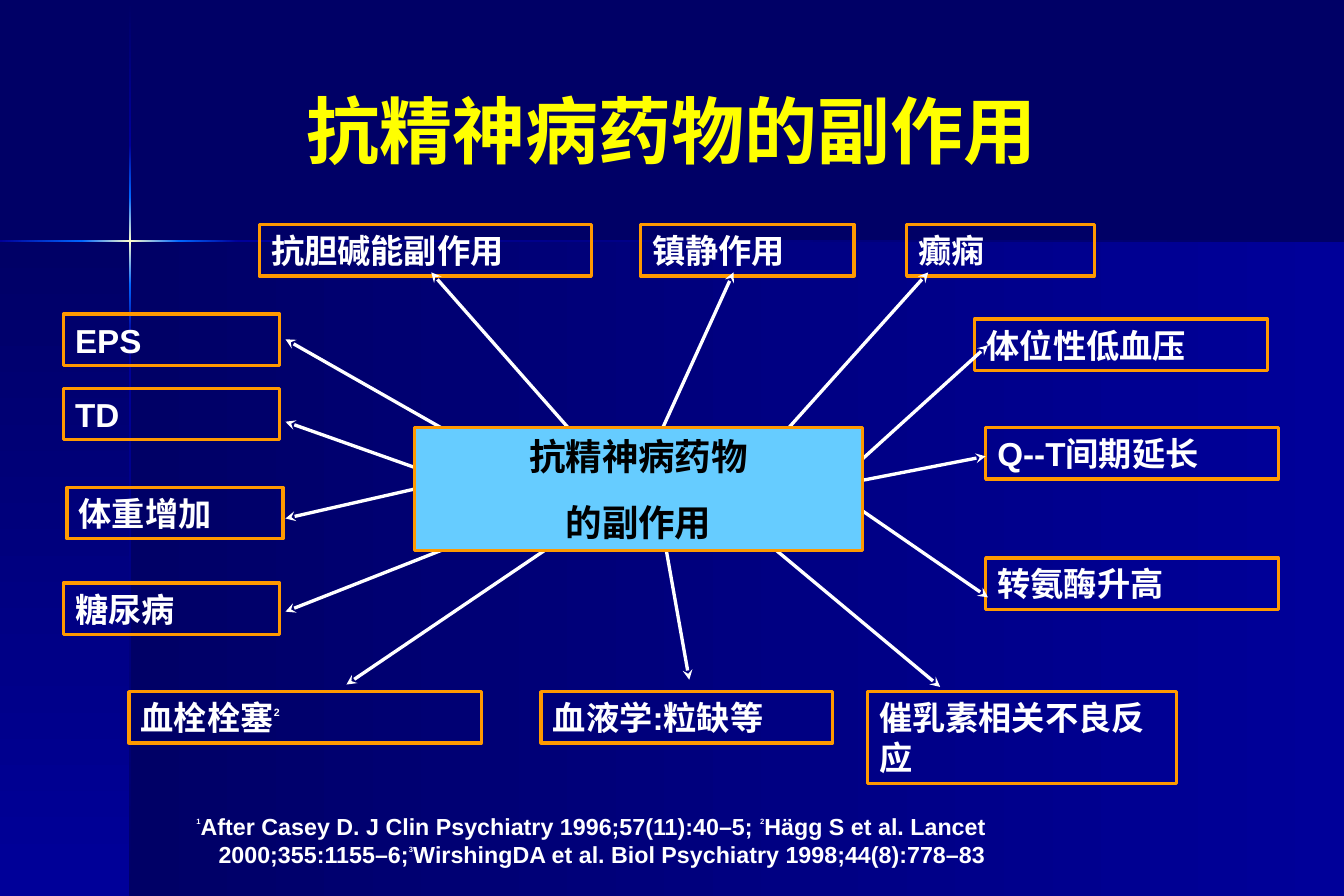
import itertools

import pptx
import pptx.dml.color
import pptx.enum.shapes
import pptx.enum.text
import pptx.oxml.ns
import pptx.util
from lxml import etree

RGBColor = pptx.dml.color.RGBColor
ALIGN = pptx.enum.text.PP_ALIGN
ANCHOR = pptx.enum.text.MSO_ANCHOR
Pt = pptx.util.Pt

NAVY = RGBColor(0x00, 0x00, 0x66)
BLUE = RGBColor(0x00, 0x00, 0x99)
GLOW = RGBColor(0x00, 0x66, 0xFF)
CREAM = RGBColor(0xFF, 0xFF, 0xCC)
SKY = RGBColor(0x66, 0xCC, 0xFF)
ORANGE = RGBColor(0xFF, 0x99, 0x00)
YELLOW = RGBColor(0xFF, 0xFF, 0x00)
WHITE = RGBColor(0xFF, 0xFF, 0xFF)
BLACK = RGBColor(0x00, 0x00, 0x00)

# Grid of square cells
COLS, ROWS = 45, 30
CELL = pptx.util.Inches(0.25)
STAR_X, STAR_Y = 4.36, 8.08
BEAM = 0.08
BOX_H = 1.72
TOP, FOOT = 7.52, 23.16
LEFT, RIGHT = 2.12, 33
SIDE_W, WIDE_W = 7.24, 9.8
TIP_X, TIP_Y = 9.56, 9.12

# Label, left, top, width, height
LABELS = [
    ("抗胆碱能副作用", 8.68, TOP, 11.12, BOX_H),
    ("镇静作用", 21.44, TOP, 7.16, BOX_H),
    ("癫痫", 30.36, TOP, 6.28, BOX_H),
    ("体位性低血压", 32.64, 10.68, WIDE_W, BOX_H),
    ("Q--T间期延长", RIGHT, 14.32, WIDE_W, BOX_H),
    ("转氨酶升高", RIGHT, 18.68, WIDE_W, BOX_H),
    ("催乳素相关不良反应", 29.04, FOOT, 10.36, 3.08),
    ("血液学:粒缺等", 18.12, FOOT, 9.76, BOX_H),
    ("血栓栓塞^2^", 4.32, FOOT, 11.8, BOX_H),
    ("糖尿病", LEFT, 19.52, SIDE_W, BOX_H),
    ("体重增加", 2.24, 16.32, SIDE_W, BOX_H),
    ("TD", LEFT, 13, SIDE_W, BOX_H),
    ("EPS", LEFT, 10.52, SIDE_W, BOX_H),
]

# Start and tip of each arrow
ARROWS = [
    (19.2, 14.52, 14.44, TIP_Y),
    (22.12, 14.48, 24.56, TIP_Y),
    (26.16, 14.6, 31.08, TIP_Y),
    (28.84, 15.4, 33.08, 11.56),
    (28.68, 16.12, RIGHT, 15.28),
    (28.84, 17.08, 33.08, 20),
    (24.76, 17.4, 31.48, 23),
    (22.12, 17.36, 23.08, 22.76),
    (19.52, 17.56, 11.6, 22.92),
    (16.88, 17.6, TIP_X, 20.48),
    (14.12, 16.32, TIP_X, 17.36),
    (14.08, 15.72, TIP_X, 14.12),
    (15.12, 14.52, TIP_X, 11.36),
]

# Light beams: place along the axis and colour there
DOWN = [(0, NAVY), (4.84, BLUE), (6.6, GLOW), (STAR_Y, CREAM),
        (9.52, GLOW), (11.28, BLUE), (ROWS, NAVY)]
ACROSS = [(0, BLUE), (2.74, GLOW), (STAR_X, CREAM),
          (6, GLOW), (7.96, BLUE), (COLS, NAVY)]

SOURCES = ("^1^After Casey D. J Clin Psychiatry 1996;57(11):40–5; "
           "^2^Hägg S et al. Lancet 2000;355:1155–6;"
           "^3^WirshingDA et al. Biol Psychiatry 1998;44(8):778–83")


def grid(*cells):
    return [round(cell * CELL) for cell in cells]


def write(frame, *lines, size=20, small=8, font="Arial", color=WHITE,
          align=ALIGN.LEFT, gap=0, anchor=ANCHOR.TOP):
    """Fill a frame with bold text; parts between ^ marks are raised."""
    frame.word_wrap = True
    frame.auto_size = pptx.enum.text.MSO_AUTO_SIZE.NONE
    frame.vertical_anchor = anchor
    for row, line in enumerate(lines):
        para = frame.add_paragraph() if row else frame.paragraphs[0]
        para.alignment = align
        para.space_before = Pt(gap if row else 0)
        for part, text in enumerate(line.split("^")):
            if not text:
                continue
            run = para.add_run()
            run.text = text
            run.font.name = font
            run.font.bold = True
            run.font.color.rgb = color
            run.font.size = Pt(small if part % 2 else size)
            if part % 2:
                run.font._element.set("baseline", "80000")


def add_box(slide, *place):
    box = slide.shapes.add_shape(
        pptx.enum.shapes.MSO_SHAPE.RECTANGLE, *grid(*place))
    box.shadow.inherit = False
    return box


def add_fade(slide, place, first, last, angle):
    box = add_box(slide, *place)
    box.line.fill.background()
    box.fill.gradient()
    box.fill.gradient_angle = angle
    for stop, color in zip(box.fill.gradient_stops, (first, last)):
        stop.color.rgb = color


def add_label(slide, place, *lines, fill=None, **style):
    box = add_box(slide, *place)
    if fill is None:
        box.fill.background()
    else:
        box.fill.solid()
        box.fill.fore_color.rgb = fill
    box.line.color.rgb = ORANGE
    box.line.width = Pt(2)
    write(box.text_frame, *lines, **style)


def add_arrow(slide, *ends):
    arrow = slide.shapes.add_connector(
        pptx.enum.shapes.MSO_CONNECTOR.STRAIGHT, *grid(*ends))
    arrow.line.color.rgb = WHITE
    arrow.line.width = Pt(2)
    qn = pptx.oxml.ns.qn
    props = arrow._element.spPr
    etree.SubElement(props.find(qn("a:ln")), qn("a:tailEnd"), type="stealth")
    etree.SubElement(props, qn("a:effectLst"))


def add_scene(slide):
    slide.background.fill.solid()
    slide.background.fill.fore_color.rgb = NAVY
    depth = ROWS - STAR_Y
    add_fade(slide, (STAR_X, STAR_Y, COLS - STAR_X, depth), NAVY, BLUE, 0)
    add_fade(slide, (0, STAR_Y, STAR_X, depth), NAVY, BLUE, 270)
    for (start, first), (end, last) in itertools.pairwise(DOWN):
        place = (STAR_X - BEAM / 2, start, BEAM, end - start)
        add_fade(slide, place, first, last, 270)
    for (start, first), (end, last) in itertools.pairwise(ACROSS):
        place = (start, STAR_Y - BEAM / 2, end - start, BEAM)
        add_fade(slide, place, first, last, 0)


def main():
    deck = pptx.Presentation()
    deck.slide_width, deck.slide_height = grid(COLS, ROWS)
    slide = deck.slides.add_slide(deck.slide_layouts[5])
    add_scene(slide)

    # Title
    title = slide.shapes.title
    title.left, title.top, title.width, title.height = grid(1.48, 1, 42.04, 5)
    write(title.text_frame, "抗精神病药物的副作用", size=44, font="Karla",
          color=YELLOW, align=ALIGN.CENTER, anchor=ANCHOR.BOTTOM)

    # Side effects around the hub
    for text, *place in LABELS:
        add_label(slide, place, text, small=11)
    for ends in ARROWS:
        add_arrow(slide, *ends)
    add_label(slide, (13.88, 14.32, 15, 4.12), "抗精神病药物", "的副作用",
              fill=SKY, size=22, color=BLACK, align=ALIGN.CENTER, gap=13.8)

    # Sources
    note = slide.shapes.add_textbox(*grid(1.52, 27, 31.88, 2.28))
    write(note.text_frame, SOURCES, size=14, align=ALIGN.RIGHT)
    deck.save("out.pptx")


if __name__ == "__main__":
    main()
